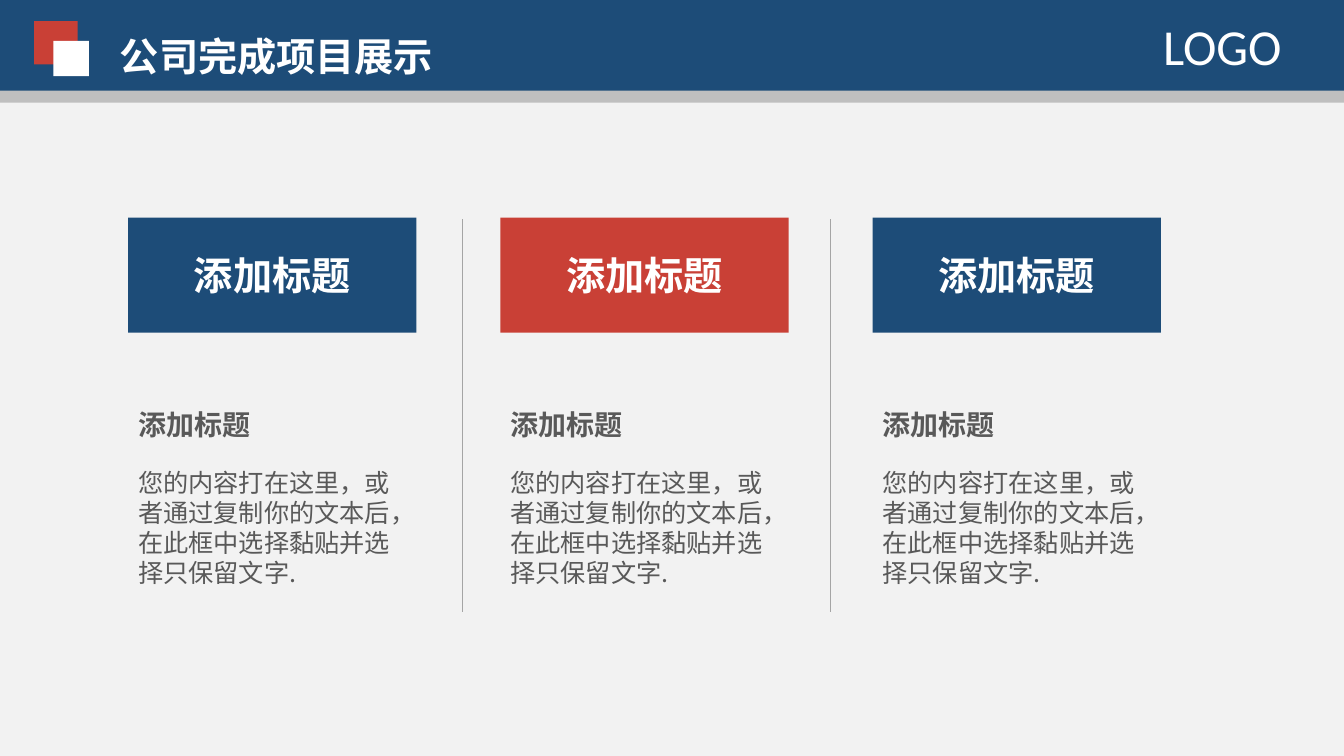
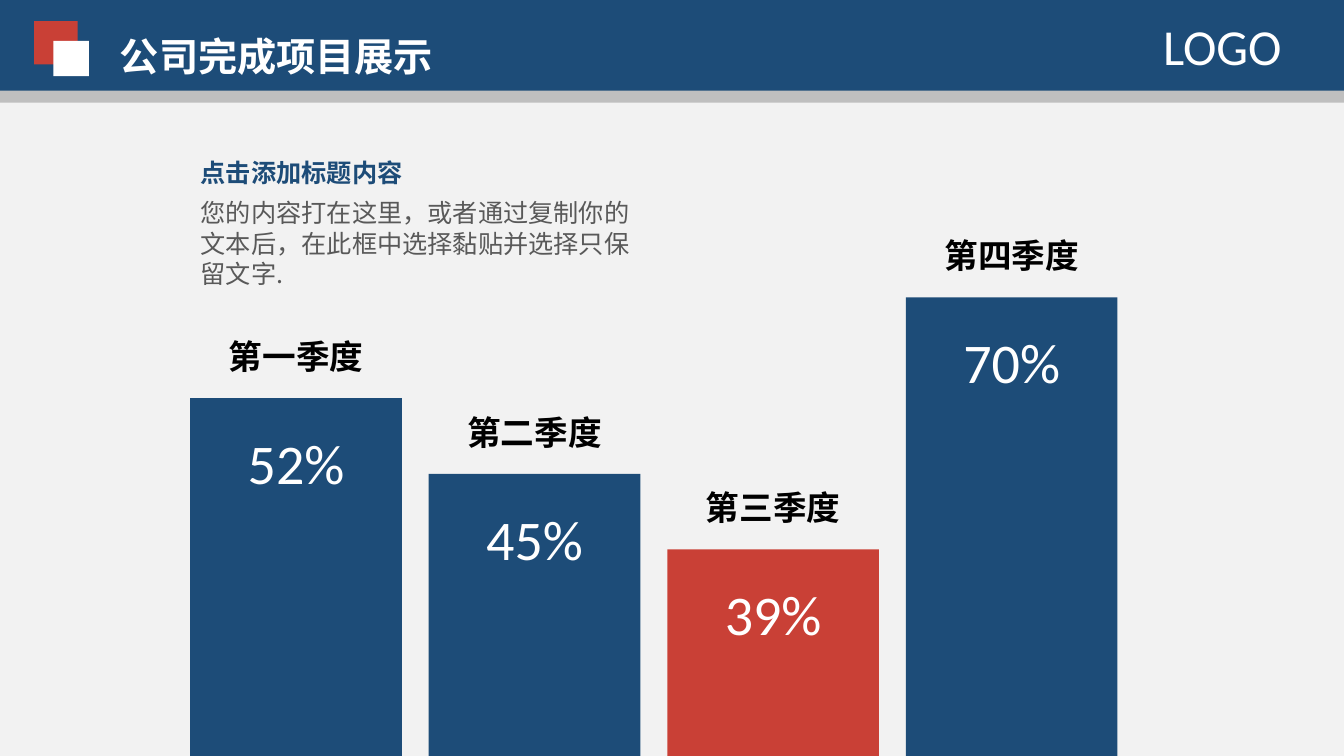
from dataclasses import dataclass

from lxml.etree import SubElement
from pptx import Presentation
from pptx.dml.color import RGBColor as RGB
from pptx.enum.shapes import MSO_CONNECTOR as CONNECTOR, MSO_SHAPE as SHAPE
from pptx.enum.text import MSO_ANCHOR as ANCHOR, PP_ALIGN as ALIGN
from pptx.oxml.ns import qn
from pptx.util import Inches, Pt


@dataclass(frozen=True)
class Theme:
    paper: str = "F2F2F2"
    blue: str = "1D4C78"
    red: str = "C94036"
    white: str = "FFFFFF"
    black: str = "000000"
    silver: str = "BFBFBF"
    rule: str = "A5A5A5"
    ink: str = "595959"
    han: str = "Noto Sans CJK SC"
    latin: str = "Calibri"
    body: int = 18
    subhead: int = 20
    label: int = 24
    title: int = 28
    logo: int = 36
    figure: int = 40


T = Theme()
W, H = Inches(13.33), Inches(7.5)
BODY = "您的内容打在这里，或者通过复制你的文本后，在此框中选择黏贴并选择只保留文字."

prs = Presentation()
prs.slide_width, prs.slide_height = W, H


def box(s, x, y, w, h, fill=None):
    """Place a filled rectangle, or a text box without fill; lengths are % of the slide."""
    area = [int(v * side / 100) for v, side in ((x, W), (y, H), (w, W), (h, H))]
    if fill is None:
        return s.shapes.add_textbox(*area)
    sp = s.shapes.add_shape(SHAPE.RECTANGLE, *area)
    sp.shadow.inherit = False
    sp.fill.solid()
    sp.fill.fore_color.rgb = RGB.from_string(fill)
    sp.line.fill.background()
    return sp


def write(sp, text, size, color, bold=False, font=T.han, align=ALIGN.LEFT, anchor=ANCHOR.TOP):
    tf = sp.text_frame
    tf.text = text
    tf.word_wrap = True
    tf.vertical_anchor = anchor
    p = tf.paragraphs[0]
    p.alignment = align
    r = p.runs[0]
    r.font.size, r.font.bold, r.font.name = Pt(size), bold, font
    r.font.color.rgb = RGB.from_string(color)
    SubElement(r.font._element, qn("a:ea")).set("typeface", font)
    return tf


# Shared background, header band and title
slides = []
for _ in range(2):
    s = prs.slides.add_slide(prs.slide_layouts[6])
    s.background.fill.solid()
    s.background.fill.fore_color.rgb = RGB.from_string(T.paper)
    box(s, 0, 0.5, 100, 13.1, T.silver)
    box(s, 0, 0, 100, 12, T.blue)
    box(s, 2.55, 2.8, 3.23, 5.73, T.red)
    box(s, 3.98, 5.4, 2.63, 4.67, T.white)
    write(box(s, 8.18, 3.6, 40, 7.6), "公司完成项目展示", T.title, T.white, True)
    write(box(s, 85.8, 1.35, 14, 9.5), "LOGO", T.logo, T.white, font=T.latin)
    slides.append(s)
cards, bars = slides

# Three cards, each over a subheading and a paragraph
CARD_X, CARD_STEP, CARD_W = 9.53, 27.7, 21.45
for i, fill in enumerate((T.blue, T.red, T.blue)):
    x = CARD_X + i * CARD_STEP
    write(box(cards, x, 28.8, CARD_W, 15.2, fill), "添加标题", T.title, T.white, True,
          align=ALIGN.CENTER, anchor=ANCHOR.MIDDLE)
    write(box(cards, x, 53.2, CARD_W, 5.9), "添加标题", T.subhead, T.ink, True)
    write(box(cards, x, 61.1, 20.85, 17.5), BODY, T.body, T.ink)

for x in (34.43, 61.8):
    left = int(W * x / 100)
    rule = cards.shapes.add_connector(
        CONNECTOR.STRAIGHT, left, int(H * 0.29), left, int(H * 0.81))
    rule.line.color.rgb = RGB.from_string(T.rule)
    rule.line.width = Pt(0.5)
    SubElement(rule._element.spPr, qn("a:effectLst"))

# Four quarterly bars standing on the bottom edge
write(box(bars, 14.2, 20.1, 33, 5.3), "点击添加标题内容", T.body, T.blue, True)
write(box(bars, 14.2, 25.5, 33.4, 13.5), BODY, T.body, T.ink)

BAR_X, BAR_STEP, BAR_W = 14.15, 17.75, 15.75
QUARTERS = (
    ("第一季度", "52%", 52.67, T.blue),
    ("第二季度", "45%", 62.67, T.blue),
    ("第三季度", "39%", 72.67, T.red),
    ("第四季度", "70%", 39.33, T.blue),
)
for i, (quarter, share, top, fill) in enumerate(QUARTERS):
    x = BAR_X + i * BAR_STEP
    tf = write(box(bars, x, top, BAR_W, 100 - top, fill), share, T.figure, T.white,
               font=T.latin, align=ALIGN.CENTER)
    tf.margin_top = int(H * 0.04)
    write(box(bars, x, top - 8.9, BAR_W, 6.7), quarter, T.label, T.black, True,
          align=ALIGN.CENTER)

prs.save("out.pptx")
